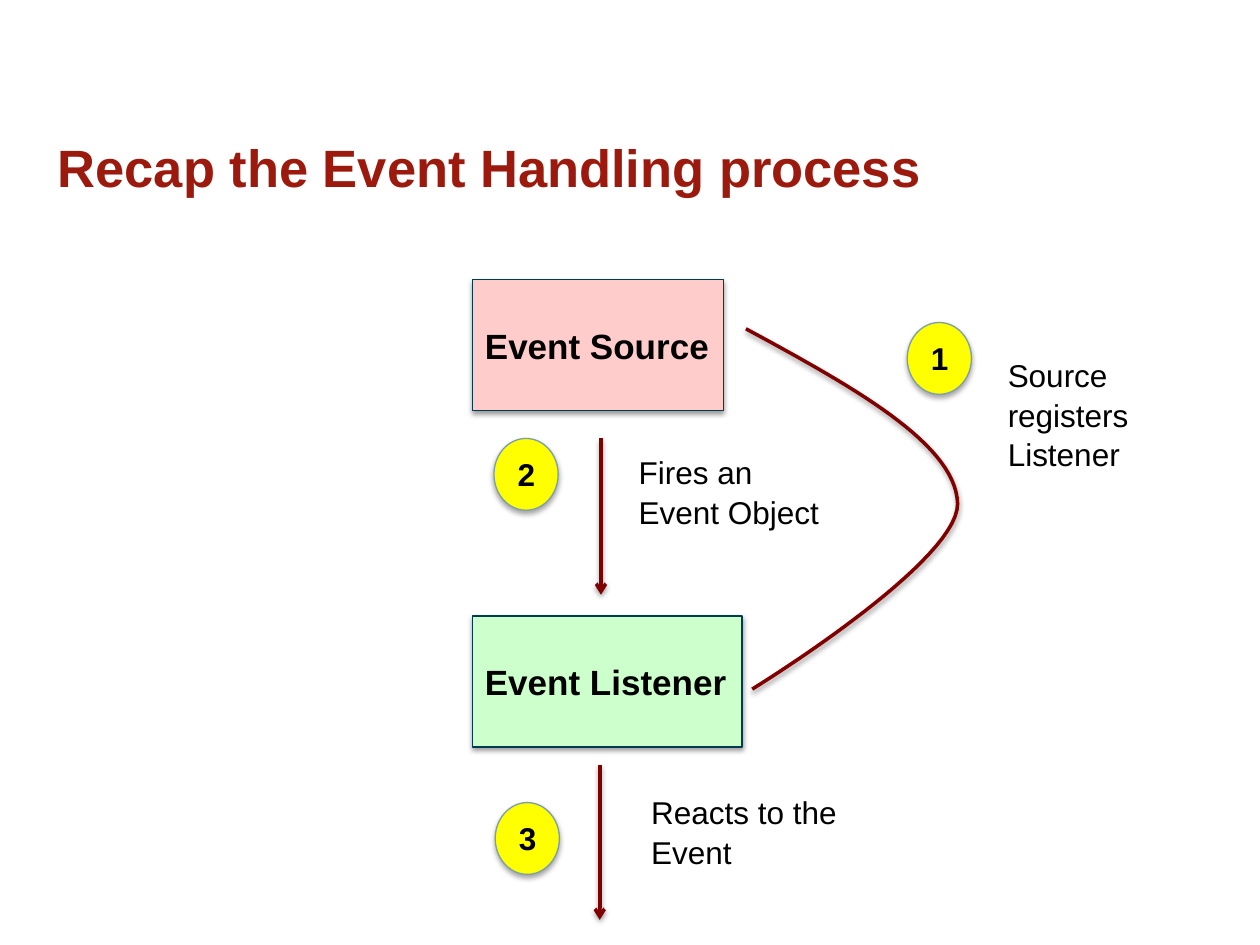
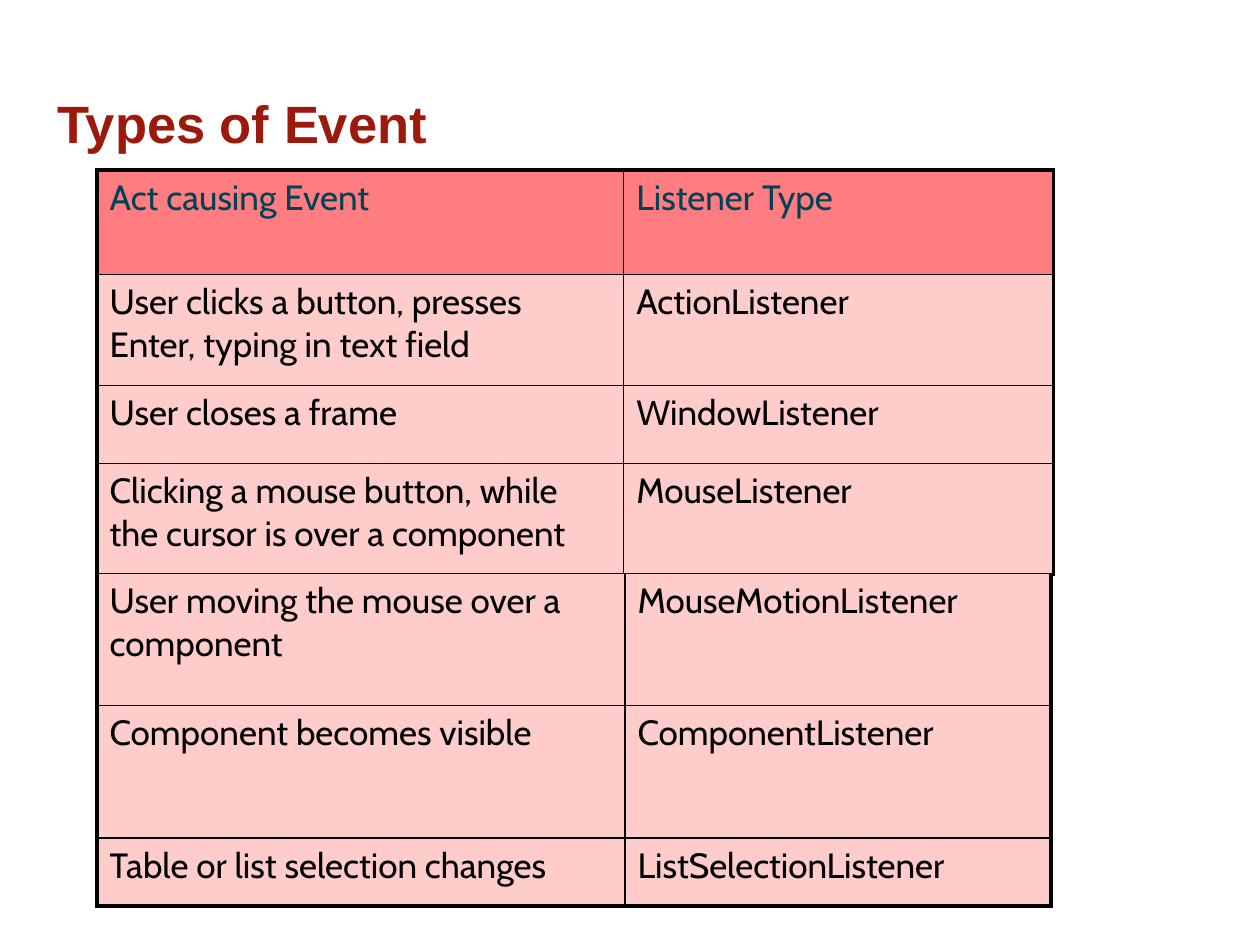
from lxml import etree
from pptx import Presentation
from pptx.dml.color import RGBColor
from pptx.enum.shapes import MSO_CONNECTOR, MSO_SHAPE
from pptx.enum.text import MSO_ANCHOR, PP_ALIGN
from pptx.oxml.ns import qn
from pptx.util import Inches, Pt

RECTANGLE, ELLIPSE = MSO_SHAPE.RECTANGLE, MSO_SHAPE.OVAL
STRAIGHT = MSO_CONNECTOR.STRAIGHT
LEFT = PP_ALIGN.LEFT
TOP, MIDDLE = MSO_ANCHOR.TOP, MSO_ANCHOR.MIDDLE

# Shared look
BLACK, TITLE_RED, ARROW_RED = "000000", "9C190D", "800000"
PINK, GREEN, YELLOW = "FFCCCC", "CCFFCC", "FFFF00"
HEADER_FILL, HEADER_TEXT = "FF7C80", "004359"
BOX_LINE, BADGE_LINE = "003B4E", "7B9EA9"
BODY_FONT, TABLE_FONT = "Arial", "Cabin"
THICK, THIN = 2.25, 1
BADGE_WIDTH, BADGE_HEIGHT = 0.51, 0.57

EVENT_ROWS = [
    ("Act causing Event", "Listener Type"),
    ("User clicks a button, presses Enter, typing in text field", "ActionListener"),
    ("User closes a frame", "WindowListener"),
    ("Clicking a mouse button, while the cursor is over a component", "MouseListener"),
]
MORE_EVENT_ROWS = [
    ("User moving the mouse over a component", "MouseMotionListener"),
    ("Component becomes visible", "ComponentListener"),
    ("Table or list selection changes", "ListSelectionListener"),
]


def paint(color_format, color):
    color_format.rgb = RGBColor.from_string(color)


def fill_with(item, color):
    item.fill.solid()
    paint(item.fill.fore_color, color)


def set_line(item, color, width):
    paint(item.line.color, color)
    item.line.width = Pt(width)


def add_shadow(item, opacity=38, distance=1.6):
    """Soft shadow straight below the item; call it after fill and line."""
    effects = etree.SubElement(item._element.spPr, qn("a:effectLst"))
    shadow = etree.SubElement(
        effects, qn("a:outerShdw"), blurRad=str(Pt(3.1)), dist=str(Pt(distance)),
        dir="5400000", rotWithShape="0")
    tint = etree.SubElement(shadow, qn("a:srgbClr"), val=BLACK)
    etree.SubElement(tint, qn("a:alpha"), val=str(opacity * 1000))


def write(frame, text, size, color=BLACK, bold=False, font=BODY_FONT,
          spacing=None, anchor=TOP):
    frame.text = text
    frame.vertical_anchor = anchor
    for para in frame.paragraphs:
        para.alignment = LEFT
        if spacing:
            para.line_spacing = spacing
        for span in para.runs:
            span.font.name = font
            span.font.size = Pt(size)
            span.font.bold = bold
            paint(span.font.color, color)


def add_title(page, text, top):
    box = page.shapes.add_textbox(Inches(0.36), Inches(top), Inches(9.28), Inches(0.72))
    box.text_frame.word_wrap = True
    write(box.text_frame, text, 30, TITLE_RED, True, spacing=0.9, anchor=MIDDLE)


def add_label(shapes, text, left, top, width, height, bold=False):
    box = shapes.add_textbox(Inches(left), Inches(top), Inches(width), Inches(height))
    box.text_frame.word_wrap = False
    write(box.text_frame, text, 18, bold=bold, spacing=1.05)


def add_event_box(page, text, top, width, color):
    box = page.shapes.add_shape(
        RECTANGLE, Inches(3.75), Inches(top), Inches(width), Inches(1.04))
    fill_with(box, color)
    set_line(box, BOX_LINE, 0.75)
    add_shadow(box)
    box.text_frame.word_wrap = False
    write(box.text_frame, text, 20, bold=True, anchor=MIDDLE)


def add_badge(page, number, left, top):
    group = page.shapes.add_group_shape()
    disc = group.shapes.add_shape(
        ELLIPSE, Inches(left), Inches(top), Inches(BADGE_WIDTH), Inches(BADGE_HEIGHT))
    fill_with(disc, YELLOW)
    set_line(disc, BADGE_LINE, 0.75)
    add_shadow(disc, opacity=35, distance=1.8)
    add_label(group.shapes, str(number), left + 0.09, top + 0.07, 0.34, 0.4, bold=True)


def add_down_arrow(page, x, top, bottom):
    arrow = page.shapes.add_connector(
        STRAIGHT, Inches(x), Inches(top), Inches(x), Inches(bottom))
    set_line(arrow, ARROW_RED, 2)
    etree.SubElement(arrow.line._get_or_add_ln(), qn("a:tailEnd"), type="arrow")
    add_shadow(arrow)


def bezier_points(start, control_1, control_2, end, steps=30):
    for step in range(1, steps + 1):
        t = step / steps
        weights = ((1 - t) ** 3, 3 * t * (1 - t) ** 2, 3 * t ** 2 * (1 - t), t ** 3)
        corners = (start, control_1, control_2, end)
        yield tuple(Inches(sum(w * corner[axis] for w, corner in zip(weights, corners)))
                    for axis in (0, 1))


def add_curve(page, start, *segments):
    builder = page.shapes.build_freeform(Inches(start[0]), Inches(start[1]))
    for segment in segments:
        builder.add_line_segments(bezier_points(start, *segment), close=False)
        start = segment[-1]
    curve = builder.convert_to_shape()
    curve.fill.background()
    set_line(curve, ARROW_RED, 2)
    add_shadow(curve)


def set_borders(cell, left, right, top, bottom):
    properties = cell._tc.get_or_add_tcPr()
    for side, width in zip("LRTB", (left, right, top, bottom)):
        border = etree.SubElement(properties, qn(f"a:ln{side}"), w=str(Pt(width)))
        solid = etree.SubElement(border, qn("a:solidFill"))
        etree.SubElement(solid, qn("a:srgbClr"), val=BLACK)


def add_event_table(page, rows, top, widths, heights, has_header):
    table = page.shapes.add_table(
        len(rows), len(widths), Inches(0.77), Inches(top),
        Inches(sum(widths)), Inches(sum(heights))).table
    table.first_row = has_header
    table.horz_banding = False
    for column, width in zip(table.columns, widths):
        column.width = Inches(width)
    for r, (texts, height) in enumerate(zip(rows, heights)):
        table.rows[r].height = Inches(height)
        is_header = has_header and r == 0
        for c, text in enumerate(texts):
            cell = table.cell(r, c)
            set_borders(
                cell,
                left=THICK if c == 0 else THIN,
                right=THICK if c == len(widths) - 1 else THIN,
                top=THICK if is_header else THIN,
                bottom=THICK if r == len(rows) - 1 else THIN)
            fill_with(cell, HEADER_FILL if is_header else PINK)
            write(cell.text_frame, text, 20, HEADER_TEXT if is_header else BLACK,
                  font=TABLE_FONT)


def build_process_page(page):
    add_title(page, "Recap the Event Handling process", 0.99)
    add_event_box(page, "Event Source", 2.22, 1.99, PINK)
    add_event_box(page, "Event Listener", 4.89, 2.14, GREEN)

    # Step 1: registration
    add_curve(page, (5.92, 2.61),
              ((6.75, 3.06), (7.59, 3.52), (7.6, 4)),
              ((7.6, 4.47), (5.97, 5.47), (5.97, 5.47)))
    add_badge(page, 1, 7.2, 2.56)
    add_label(page.shapes, "Source\nregisters\nListener", 7.9, 2.76, 1.17, 1.01)

    # Step 2: firing
    add_down_arrow(page, 4.77, 3.48, 4.72)
    add_badge(page, 2, 3.92, 3.48)
    add_label(page.shapes, "Fires an\nEvent Object", 4.97, 3.53, 1.65, 0.71)

    # Step 3: reaction
    add_down_arrow(page, 4.76, 6.07, 7.3)
    add_badge(page, 3, 3.93, 6.37)
    add_label(page.shapes, "Reacts to the\nEvent", 5.07, 6.23, 1.69, 0.71)


def build_types_page(page):
    add_title(page, "Types of Event", 0.64)
    add_event_table(page, EVENT_ROWS, 1.35, (4.18, 3.41),
                    (0.83, 0.88, 0.62, 0.88), has_header=True)
    add_event_table(page, MORE_EVENT_ROWS, 4.55, (4.19, 3.38),
                    (1.05, 1.05, 0.54), has_header=False)


def main():
    deck = Presentation()
    deck.slide_width, deck.slide_height = Inches(10), Inches(7.5)
    blank = deck.slide_layouts[6]
    for build_page in (build_process_page, build_types_page):
        build_page(deck.slides.add_slide(blank))
    deck.save("out.pptx")


if __name__ == "__main__":
    main()
